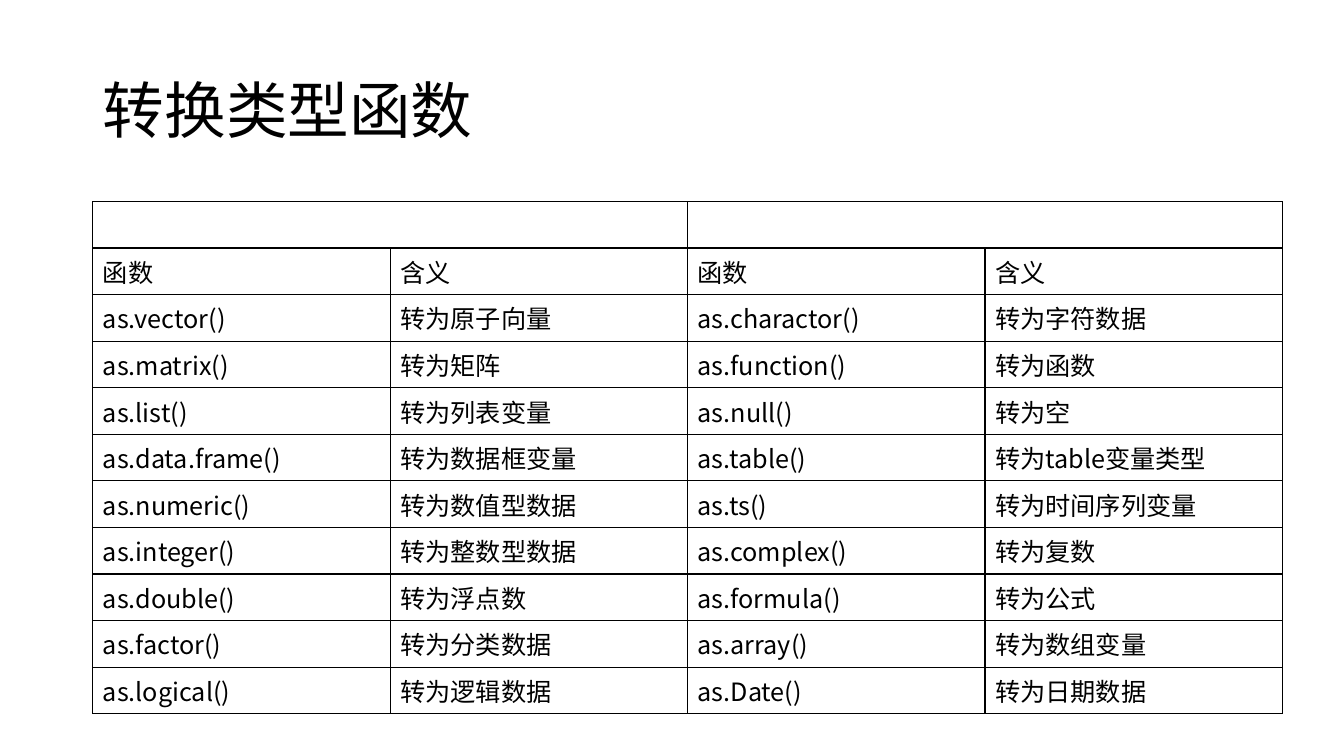
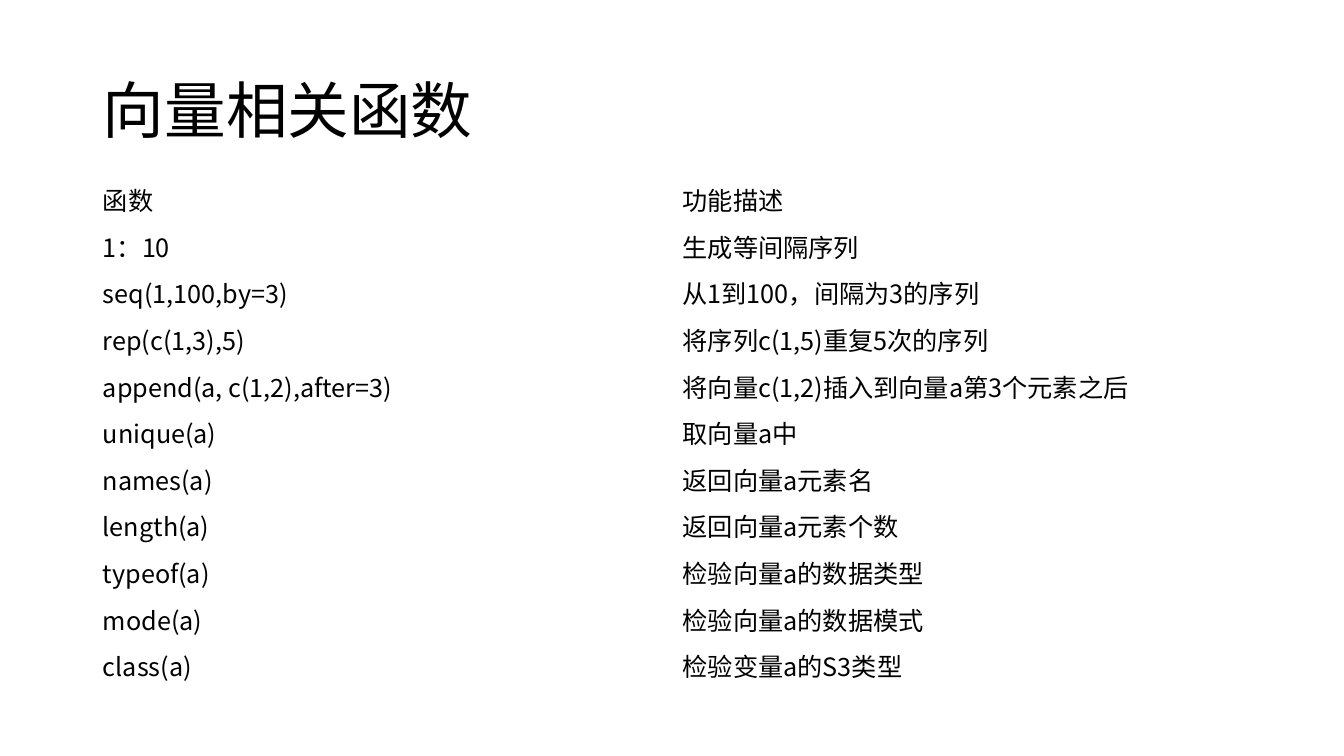
from dataclasses import dataclass

from lxml import etree
from pptx import Presentation, util as u
from pptx.dml.color import RGBColor
from pptx.enum import text
from pptx.oxml.ns import qn


@dataclass(frozen=True)
class Theme:
    font: str = "Noto Sans CJK SC"
    ink: str = "000000"
    paper: str = "FFFFFF"
    title_size: int = 44
    cell_size: int = 18
    border_width: int = 1


THEME = Theme()

# Page grid, in inches
SLIDE_WIDTH, SLIDE_HEIGHT = 13.33, 7.5
MARGIN = 0.92
CONTENT_WIDTH = 11.5
TITLE_TOP, TITLE_HEIGHT = 0.4, 1.45
ROW_HEIGHT, BAND_HEIGHT = 0.41, 0.46
TITLE_ONLY_LAYOUT = 5

# Slide content
CONVERSIONS = [
    ("", "", "", ""),
    ("函数", "含义", "函数", "含义"),
    ("as.vector()", "转为原子向量", "as.charactor()", "转为字符数据"),
    ("as.matrix()", "转为矩阵", "as.function()", "转为函数"),
    ("as.list()", "转为列表变量", "as.null()", "转为空"),
    ("as.data.frame()", "转为数据框变量", "as.table()", "转为table变量类型"),
    ("as.numeric()", "转为数值型数据", "as.ts()", "转为时间序列变量"),
    ("as.integer()", "转为整数型数据", "as.complex()", "转为复数"),
    ("as.double()", "转为浮点数", "as.formula()", "转为公式"),
    ("as.factor()", "转为分类数据", "as.array()", "转为数组变量"),
    ("as.logical()", "转为逻辑数据", "as.Date()", "转为日期数据"),
]
VECTOR_FUNCTIONS = [
    ("函数", "功能描述"),
    ("1：10", "生成等间隔序列"),
    ("seq(1,100,by=3)", "从1到100，间隔为3的序列"),
    ("rep(c(1,3),5)", "将序列c(1,5)重复5次的序列"),
    ("append(a, c(1,2),after=3)", "将向量c(1,2)插入到向量a第3个元素之后"),
    ("unique(a)", "取向量a中"),
    ("names(a)", "返回向量a元素名"),
    ("length(a)", "返回向量a元素个数"),
    ("typeof(a)", "检验向量a的数据类型"),
    ("mode(a)", "检验向量a的数据模式"),
    ("class(a)", "检验变量a的S3类型"),
    ("", ""),
    ("", ""),
]


def apply_format(target, values):
    for name, value in values.items():
        setattr(target, name, value)


def write_text(paragraph, content, size):
    """Write one run in the theme font, for Latin and East Asian letters."""
    run = paragraph.add_run()
    run.text = content
    apply_format(run.font, {"name": THEME.font, "size": u.Pt(size), "bold": False})
    run.font.color.rgb = RGBColor.from_string(THEME.ink)
    properties = run._r.get_or_add_rPr()
    etree.SubElement(properties, qn("a:ea"), typeface=THEME.font)


def set_borders(cell, visible):
    """Draw or clear the four sides; they precede the fill in the cell."""
    properties = cell._tc.get_or_add_tcPr()
    for position, side in enumerate(("lnL", "lnR", "lnT", "lnB")):
        line = etree.Element(qn(f"a:{side}"), w=str(u.Pt(THEME.border_width)))
        if visible:
            fill = etree.SubElement(line, qn("a:solidFill"))
            etree.SubElement(fill, qn("a:srgbClr"), val=THEME.ink)
        else:
            etree.SubElement(line, qn("a:noFill"))
        properties.insert(position, line)


def add_titled_slide(presentation, title):
    slide = presentation.slides.add_slide(presentation.slide_layouts[TITLE_ONLY_LAYOUT])
    apply_format(slide.shapes.title, {
        "left": u.Inches(MARGIN), "top": u.Inches(TITLE_TOP),
        "width": u.Inches(CONTENT_WIDTH), "height": u.Inches(TITLE_HEIGHT),
    })
    frame = slide.shapes.title.text_frame
    apply_format(frame, {
        "word_wrap": True,
        "auto_size": text.MSO_AUTO_SIZE.NONE,
        "vertical_anchor": text.MSO_ANCHOR.MIDDLE,
    })
    paragraph = frame.paragraphs[0]
    apply_format(paragraph, {"alignment": text.PP_ALIGN.LEFT, "line_spacing": 0.9})
    write_text(paragraph, title, THEME.title_size)
    return slide


def add_text_table(slide, rows, top, width, bordered=False):
    """Add a plain table with equal columns."""
    column_count = len(rows[0])
    table = slide.shapes.add_table(
        len(rows), column_count, u.Inches(MARGIN), u.Inches(top),
        u.Inches(width), u.Inches(ROW_HEIGHT * len(rows)),
    ).table
    apply_format(table, {"first_row": False, "horz_banding": False})
    for row_index, row in enumerate(rows):
        for column_index, content in enumerate(row):
            cell = table.cell(row_index, column_index)
            cell.fill.background()
            set_borders(cell, bordered)
            if content:
                write_text(cell.text_frame.paragraphs[0], content, THEME.cell_size)
    return table


def main():
    presentation = Presentation()
    apply_format(presentation, {
        "slide_width": u.Inches(SLIDE_WIDTH), "slide_height": u.Inches(SLIDE_HEIGHT),
    })
    background = presentation.slide_master.background.fill
    background.solid()
    background.fore_color.rgb = RGBColor.from_string(THEME.paper)

    # Type conversion: two pairs of columns under an empty merged band
    slide = add_titled_slide(presentation, "转换类型函数")
    table = add_text_table(slide, CONVERSIONS, top=2, width=11.8, bordered=True)
    table.rows[0].height = u.Inches(BAND_HEIGHT)
    for first in (0, 2):
        table.cell(0, first).merge(table.cell(0, first + 1))

    # Vector functions: open two-column list
    slide = add_titled_slide(presentation, "向量相关函数")
    add_text_table(slide, VECTOR_FUNCTIONS, top=1.75, width=CONTENT_WIDTH)

    presentation.save("out.pptx")


if __name__ == "__main__":
    main()
